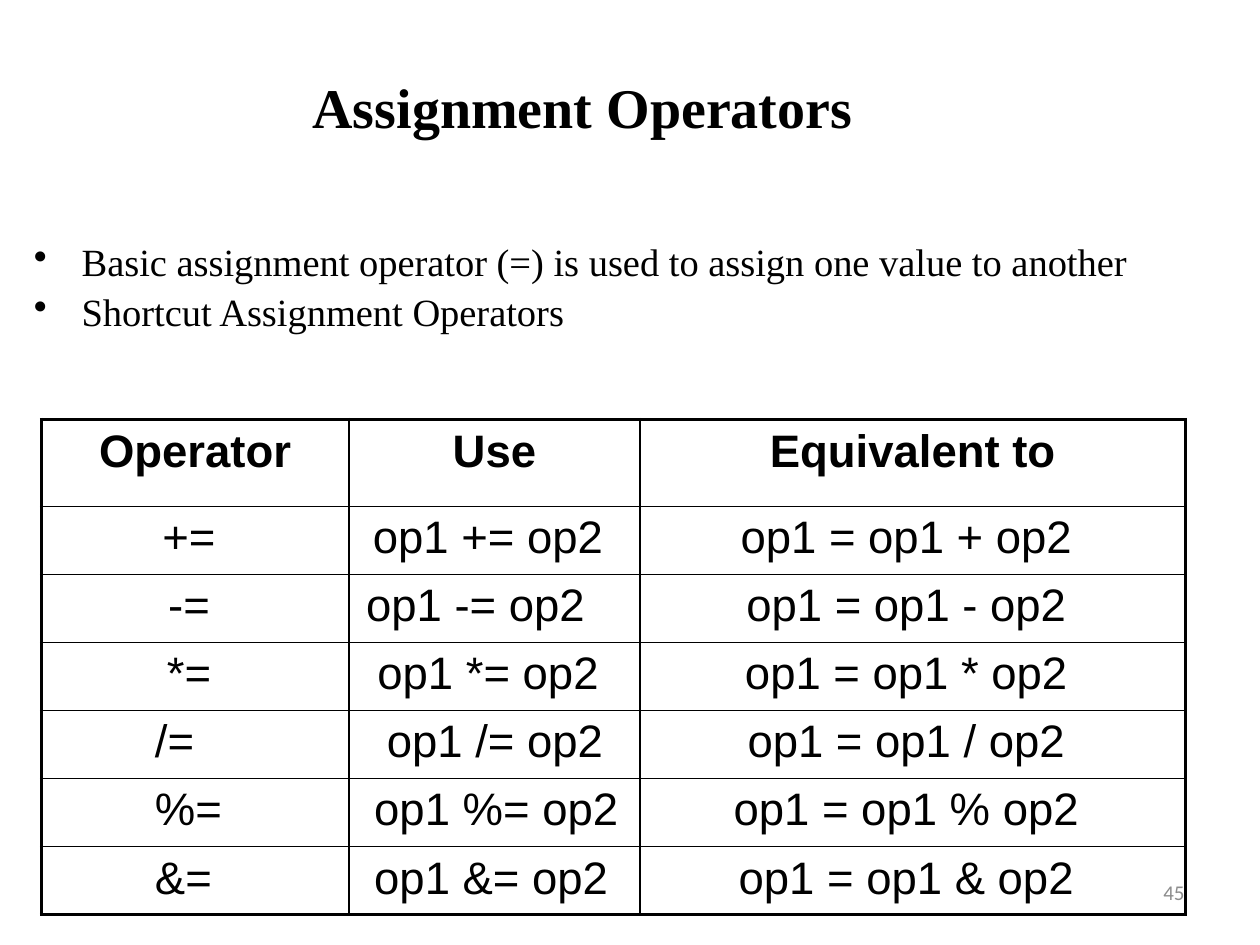
import pptx
import pptx.dml.color
import pptx.enum.text
import pptx.oxml.ns
import pptx.util
from dataclasses import dataclass
from lxml import etree

Inches = pptx.util.Inches
Pt = pptx.util.Pt
ALIGN = pptx.enum.text.PP_ALIGN
ANCHOR = pptx.enum.text.MSO_ANCHOR


@dataclass(frozen=True)
class Theme:
    ink: str = "000000"
    muted: str = "8C8C8C"
    heading_font: str = "Times New Roman"
    table_font: str = "Arial"
    number_font: str = "Calibri"
    title_size: int = 32
    body_size: int = 22
    table_size: int = 26
    number_size: int = 12
    outer_line: float = 2.25
    inner_line: float = 1
    cell_padding: float = 0.1


class SlideBuilder:
    def __init__(self, slide, theme):
        self.slide = slide
        self.theme = theme

    def add_run(self, paragraph, text, font, size, color=None, bold=False):
        run = paragraph.add_run()
        run.text = text
        run.font.name = font
        run.font.size = Pt(size)
        run.font.bold = bold
        run.font.color.rgb = pptx.dml.color.RGBColor.from_string(color or self.theme.ink)

    def add_text_box(self, left, top, width, height, anchor=ANCHOR.TOP):
        box = self.slide.shapes.add_textbox(
            Inches(left), Inches(top), Inches(width), Inches(height))
        box.text_frame.word_wrap = True
        box.text_frame.vertical_anchor = anchor
        return box.text_frame

    def title(self, text, left, top, width, height):
        shape = self.slide.shapes.title
        shape.left, shape.top = Inches(left), Inches(top)
        shape.width, shape.height = Inches(width), Inches(height)
        shape.text_frame.vertical_anchor = ANCHOR.MIDDLE
        paragraph = shape.text_frame.paragraphs[0]
        paragraph.alignment = ALIGN.CENTER
        self.add_run(paragraph, text, self.theme.heading_font,
                     self.theme.title_size, bold=True)

    def bullets(self, items, left, top, width, height):
        frame = self.add_text_box(left, top, width, height)
        for index, text in enumerate(items):
            paragraph = frame.add_paragraph() if index else frame.paragraphs[0]
            properties = paragraph._p.get_or_add_pPr()
            properties.set("marL", str(Inches(0.38)))
            properties.set("indent", str(-Inches(0.38)))
            bullet = etree.SubElement(properties, pptx.oxml.ns.qn("a:buChar"))
            bullet.set("char", "•")
            paragraph.line_spacing = 0.9
            if index:
                paragraph.space_before = Pt(5)
            self.add_run(paragraph, text, self.theme.heading_font, self.theme.body_size)

    def cell_border(self, cell, side, width):
        line = etree.SubElement(cell._tc.get_or_add_tcPr(), pptx.oxml.ns.qn("a:ln" + side))
        line.set("w", str(Pt(width)))
        fill = etree.SubElement(line, pptx.oxml.ns.qn("a:solidFill"))
        etree.SubElement(fill, pptx.oxml.ns.qn("a:srgbClr")).set("val", self.theme.ink)

    def table(self, rows, left, top, column_widths, row_heights):
        theme = self.theme
        last_row, last_column = len(rows) - 1, len(column_widths) - 1
        table = self.slide.shapes.add_table(
            len(rows), len(column_widths), Inches(left), Inches(top),
            Inches(sum(column_widths)), Inches(sum(row_heights))).table
        table.first_row = table.horz_banding = False
        for column, width in zip(table.columns, column_widths):
            column.width = Inches(width)
        for row, height in zip(table.rows, row_heights):
            row.height = Inches(height)
        for r, row in enumerate(rows):
            for c, (text, alignment, left_pad, right_pad) in enumerate(row):
                cell = table.cell(r, c)
                cell.margin_left = Inches(theme.cell_padding + left_pad)
                cell.margin_right = Inches(theme.cell_padding + right_pad)
                # Heavy frame outside, thin rules inside
                edges = {"L": c == 0, "R": c == last_column,
                         "T": r == 0, "B": r == last_row}
                for side, outer in edges.items():
                    self.cell_border(cell, side,
                                     theme.outer_line if outer else theme.inner_line)
                cell.fill.background()
                paragraph = cell.text_frame.paragraphs[0]
                paragraph.alignment = alignment
                self.add_run(paragraph, text, theme.table_font, theme.table_size,
                             bold=r == 0)

    def slide_number(self, text, left, top, width, height):
        frame = self.add_text_box(left, top, width, height, ANCHOR.MIDDLE)
        frame.paragraphs[0].alignment = ALIGN.RIGHT
        self.add_run(frame.paragraphs[0], text, self.theme.number_font,
                     self.theme.number_size, self.theme.muted)


def centered(text, right_pad=0.1):
    return text, ALIGN.CENTER, 0, right_pad


def indented(text, left_pad):
    return text, ALIGN.LEFT, left_pad, 0


def operator_rows():
    rows = [[centered(text, 0) for text in ("Operator", "Use", "Equivalent to")]]
    # Symbol, and the indents of the rows that are set flush left
    operators = [("+", None), ("-", None), ("*", None),
                 ("/", 0.2), ("%", 0.1), ("&", 0.1)]
    for symbol, use_indent in operators:
        name, use = f"{symbol}=", f"op1 {symbol}= op2"
        if use_indent is None:
            cells = [centered(name), centered(use, 0.3 if symbol == "-" else 0.1)]
        else:
            cells = [indented(name, 0.8), indented(use, use_indent)]
        rows.append(cells + [centered(f"op1 = op1 {symbol} op2")])
    return rows


def main():
    presentation = pptx.Presentation()
    presentation.slide_width = Inches(10)
    presentation.slide_height = Inches(7.5)
    slide = presentation.slides.add_slide(presentation.slide_layouts[5])
    builder = SlideBuilder(slide, Theme())

    # Heading and introduction
    builder.title("Assignment Operators", 0.5, 0.13, 8.25, 1.42)
    builder.bullets([
        "Basic assignment operator (=) is used to assign one value to another",
        "Shortcut Assignment Operators",
    ], 0.17, 1.88, 9, 1.37)

    # Operator table
    rows = operator_rows()
    builder.table(rows, 0.33, 3.33, [2.44, 2.31, 4.33],
                  [0.69] + [0.54] * (len(rows) - 1))

    # Footer
    builder.slide_number("45", 7.17, 6.83, 2.33, 0.5)

    presentation.save("out.pptx")


if __name__ == "__main__":
    main()
